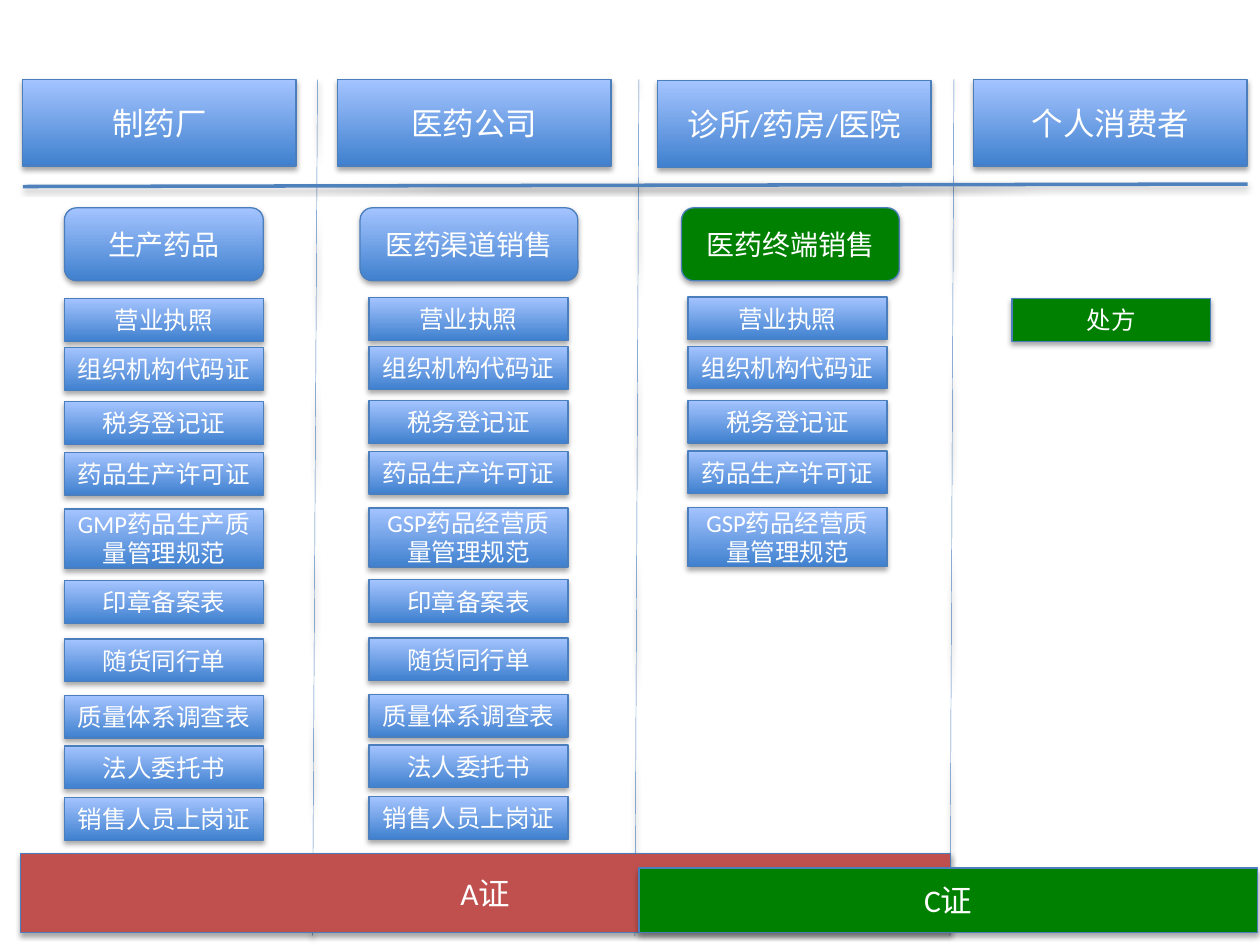
from pptx import Presentation
from pptx.dml.color import RGBColor
from pptx.enum.shapes import MSO_CONNECTOR, MSO_SHAPE as Preset
from pptx.enum.text import MSO_ANCHOR as Anchor, PP_ALIGN as Align
from pptx.oxml import parse_xml
from pptx.oxml.ns import nsdecls
from pptx.util import Cm, Pt

COLORS = {
    "fill_bottom": "3F80CE",
    "fill_top": "A4C4FF",
    "outline": "4B7EBC",
    "rule": "4F81BD",
    "red": "C0504D",
    "green": "008000",
    "text": "FFFFFF",
    "shadow": "000000",
}
FONT = "Calibri"

HEADER_SIZE = (5.51, 1.75)
STAGE_TOP, STAGE_HEIGHT = 4.19, 1.47
DOC_WIDTH, DOC_HEIGHT, TALL_DOC_HEIGHT = 4.01, 0.86, 1.19
DOC_TOPS = (6.02, 7.01, 8.1, 9.12, 10.26, 11.71, 12.88, 14.02, 15.04, 16.08)

BASIC_DOCS = ["营业执照", "组织机构代码证", "税务登记证", "药品生产许可证"]
TRADE_DOCS = ["印章备案表", "随货同行单", "质量体系调查表", "法人委托书", "销售人员上岗证"]
GMP = "GMP药品生产质量管理规范"
GSP = "GSP药品经营质量管理规范"

# heading, its left and top; stage as (text, left, width, colour);
# left of the documents, their vertical shift, their colour, their names
COLUMNS = [
    ("制药厂", 0.46, 1.6, ("生产药品", 1.3, 4.01, None),
     1.3, 0, None, BASIC_DOCS + [GMP] + TRADE_DOCS),
    ("医药公司", 6.81, 1.6, ("医药渠道销售", 7.26, 4.39, None),
     7.44, -0.02, None, BASIC_DOCS + [GSP] + TRADE_DOCS),
    ("诊所/药房/医院", 13.26, 1.63, ("医药终端销售", 13.74, 4.39, "green"),
     13.87, -0.03, None, BASIC_DOCS + [GSP]),
    ("个人消费者", 19.63, 1.6, None, 20.4, 0, "green", ["处方"]),
]
DIVIDERS = [(19.23, 19.15), (12.88, 12.8), (6.4, 6.3)]


class Painter:
    """Holds the page being drawn and the common look of its elements."""

    def __init__(self, page):
        self.page = page

    def color(self, name):
        return RGBColor.from_string(COLORS[name])

    def add_shadow(self, item, distance, opacity):
        item._element.spPr.append(parse_xml(
            f'<a:effectLst {nsdecls("a")}>'
            f'<a:outerShdw blurRad="{Pt(3.1)}" dist="{Pt(distance)}" dir="5400000" rotWithShape="0">'
            f'<a:srgbClr val="{COLORS["shadow"]}"><a:alpha val="{opacity * 1000}"/></a:srgbClr>'
            '</a:outerShdw></a:effectLst>'))

    def paint(self, fill, color):
        """Fill with the named colour, or with the blue gradient if None."""
        if color:
            fill.solid()
            fill.fore_color.rgb = self.color(color)
            return
        fill.gradient()
        fill.gradient_angle = 90
        for stop, name in zip(fill.gradient_stops, ("fill_bottom", "fill_top")):
            stop.color.rgb = self.color(name)

    def box(self, text, left, top, width, height, size, color=None, preset=Preset.RECTANGLE):
        box = self.page.shapes.add_shape(preset, Cm(left), Cm(top), Cm(width), Cm(height))
        self.paint(box.fill, color)
        box.line.color.rgb = self.color("outline")
        box.line.width = Pt(0.75)
        self.add_shadow(box, 1.8, 35)
        frame = box.text_frame
        frame.word_wrap = True
        frame.vertical_anchor = Anchor.MIDDLE
        para = frame.paragraphs[0]
        para.alignment = Align.CENTER
        span = para.add_run()
        span.text = text
        span.font.name = FONT
        span.font.size = Pt(size)
        span.font.color.rgb = self.color("text")

    def rule(self, x1, y1, x2, y2, weight):
        rule = self.page.shapes.add_connector(
            MSO_CONNECTOR.STRAIGHT, Cm(x1), Cm(y1), Cm(x2), Cm(y2))
        rule.line.color.rgb = self.color("rule")
        rule.line.width = Pt(weight)
        self.add_shadow(rule, 1.6, 38)

    def documents(self, names, left, shift, color):
        for name, top in zip(names, DOC_TOPS):
            height = TALL_DOC_HEIGHT if name in (GMP, GSP) else DOC_HEIGHT
            self.box(name, left, top + shift, DOC_WIDTH, height, 14, color)


def main():
    deck = Presentation()
    deck.slide_width, deck.slide_height = Cm(25.4), Cm(19.05)
    blank_layout = deck.slide_layouts[6]
    painter = Painter(deck.slides.add_slide(blank_layout))

    for heading, left, top, *_ in COLUMNS:
        painter.box(heading, left, top, *HEADER_SIZE, 18)

    for top_x, bottom_x in DIVIDERS:
        painter.rule(top_x, 1.6, bottom_x, 18.87, 0.25)
    painter.rule(0.46, 3.76, 25.15, 3.71, 2)

    painter.box("A证", 0.41, 17.2, 18.75, 1.6, 18, "red")
    painter.box("C证", 12.88, 17.5, 12.47, 1.3, 18, "green")

    for *_, stage, left, shift, color, names in COLUMNS:
        if stage:
            text, stage_left, width, stage_color = stage
            painter.box(text, stage_left, STAGE_TOP, width, STAGE_HEIGHT, 16,
                        stage_color, Preset.ROUNDED_RECTANGLE)
        painter.documents(names, left, shift, color)

    deck.save("out.pptx")


if __name__ == "__main__":
    main()
